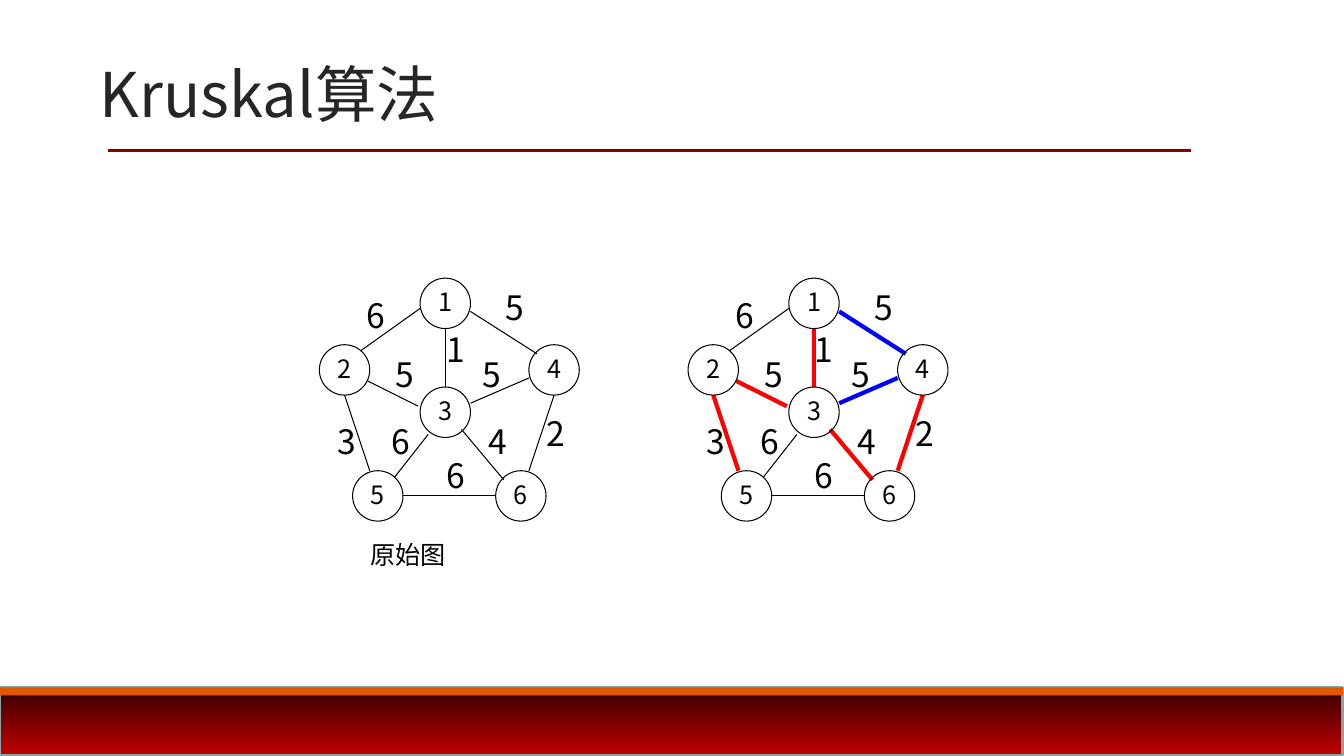
"""Build the Kruskal slide: a weighted graph beside its highlighted spanning tree."""
from dataclasses import dataclass

from lxml.etree import SubElement
from pptx import Presentation
from pptx.dml.color import RGBColor
from pptx.enum.shapes import MSO_CONNECTOR as Connector, MSO_SHAPE as Shape
from pptx.enum.text import MSO_ANCHOR as Anchor, PP_ALIGN as Align
from pptx.oxml.ns import qn
from pptx.util import Inches, Pt


@dataclass(frozen=True)
class Theme:
    font: str = "Noto Sans CJK SC"
    ink: str = "000000"
    title: str = "262626"
    rule: str = "880000"
    stripe: str = "DE5900"
    band_top: str = "340000"
    band_bottom: str = "C00000"
    band_line: str = "89A4A7"
    tree: str = "FF0000"
    tied: str = "0000FF"
    title_size: int = 44
    weight_size: int = 24
    body_size: int = 18
    thin: float = 0.75
    medium: float = 2
    thick: float = 3


theme = Theme()


def write(box, text, size, color=theme.ink, spacing=0.9):
    """Put one styled run into the first paragraph of a box."""
    para = box.text_frame.paragraphs[0]
    para.line_spacing = spacing
    span = para.add_run()
    span.text = text
    span.font.size = Pt(size)
    span.font.name = theme.font
    span.font.color.rgb = RGBColor.from_string(color)
    SubElement(span.font._element, qn("a:ea"), typeface=theme.font)
    return para


def draw_line(start, end, color, width):
    """Draw a straight line without a shadow."""
    line = page.shapes.add_connector(Connector.STRAIGHT, *map(Inches, start + end))
    line.line.color.rgb = RGBColor.from_string(color)
    line.line.width = Pt(width)
    SubElement(line._element.spPr, qn("a:effectLst"))


deck = Presentation()
deck.slide_width, deck.slide_height = Inches(13.34), Inches(7.5)
page = deck.slides.add_slide(deck.slide_layouts[6])

band = page.shapes.add_shape(Shape.RECTANGLE, 0, Inches(6.82), Inches(13.33), Inches(0.67))
band.shadow.inherit = False
band.fill.gradient()
band.fill.gradient_angle = 270
for stop, color in zip(band.fill.gradient_stops, (theme.band_top, theme.band_bottom)):
    stop.color.rgb = RGBColor.from_string(color)
band.line.color.rgb = RGBColor.from_string(theme.band_line)
band.line.width = Pt(theme.medium)

stripe = page.shapes.add_shape(Shape.RECTANGLE, 0, Inches(6.82), Inches(13.33), Inches(0.08))
stripe.shadow.inherit = False
stripe.fill.solid()
stripe.fill.fore_color.rgb = RGBColor.from_string(theme.stripe)
stripe.line.fill.background()

draw_line((1.07, 1.49), (11.82, 1.49), theme.rule, theme.medium)

title = page.shapes.add_textbox(Inches(0.99), Inches(0.3), Inches(11.68), Inches(1.25))
title.text_frame.word_wrap = True
title.text_frame.margin_left = 0
title.text_frame.vertical_anchor = Anchor.MIDDLE
write(title, "Kruskal算法", theme.title_size, theme.title, 1.0)

node_size = 0.5
nodes = {
    "1": (4.17, 2.76), "2": (3.17, 3.42), "3": (4.17, 3.84),
    "4": (5.25, 3.42), "5": (3.5, 4.67), "6": (4.92, 4.67),
}
edges = [
    ("1-2", "6", (3.58, 3.48), (4.17, 3.06), (3.54, 2.92)),
    ("1-3", "1", (4.42, 3.84), (4.42, 3.26), (4.33, 3.26)),
    ("1-4", "5", (4.67, 3.09), (5.33, 3.51), (4.92, 2.84)),
    ("2-3", "5", (3.65, 3.78), (4.15, 4.03), (3.83, 3.51)),
    ("2-5", "3", (3.67, 4.67), (3.42, 3.92), (3.25, 4.17)),
    ("3-4", "5", (4.67, 4), (5.25, 3.75), (4.69, 3.51)),
    ("3-5", "6", (3.92, 4.73), (4.25, 4.31), (3.79, 4.17)),
    ("3-6", "4", (4.58, 4.26), (5, 4.76), (4.75, 4.17)),
    ("4-6", "2", (5.25, 4.67), (5.5, 3.92), (5.33, 4.09)),
    ("5-6", "6", (4, 4.92), (4.92, 4.92), (4.33, 4.51)),
]
marked = dict.fromkeys(("1-3", "2-3", "2-5", "3-6", "4-6"), theme.tree)
marked.update(dict.fromkeys(("1-4", "3-4"), theme.tied))

for shift, highlights in ((0, {}), (3.66, marked)):
    for edge, weight, (x1, y1), (x2, y2), (left, top) in edges:
        draw_line((x1 + shift, y1), (x2 + shift, y2), highlights.get(edge, theme.ink),
                  theme.thick if edge in highlights else theme.thin)
        label = page.shapes.add_textbox(
            Inches(left + shift), Inches(top), Inches(0.33), Inches(0.46))
        label.text_frame.word_wrap = True
        write(label, weight, theme.weight_size)
    for name, (left, top) in nodes.items():
        node = page.shapes.add_shape(
            Shape.OVAL, Inches(left + shift), Inches(top), Inches(node_size), Inches(node_size))
        node.shadow.inherit = False
        node.fill.background()
        node.line.color.rgb = RGBColor.from_string(theme.ink)
        node.line.width = Pt(theme.thin)
        node.text_frame.word_wrap = False
        node.text_frame.vertical_anchor = Anchor.MIDDLE
        write(node, name, theme.body_size).alignment = Align.CENTER

caption = page.shapes.add_textbox(Inches(3.58), Inches(5.34), Inches(1.75), Inches(0.37))
caption.text_frame.word_wrap = True
write(caption, "原始图", theme.body_size)

deck.save("out.pptx")
